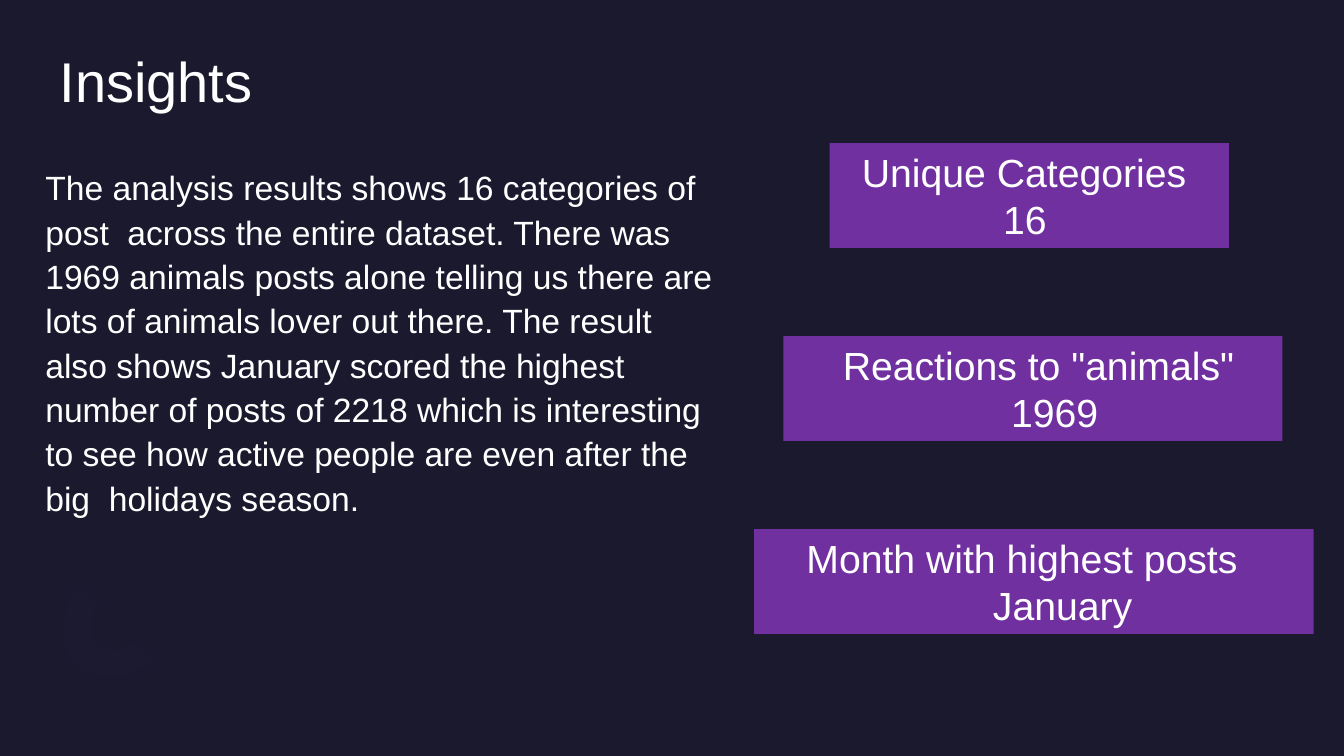
"""Build the Insights slide: a summary paragraph beside three key figures."""
from pptx import Presentation
from pptx.dml.color import RGBColor
from pptx.enum import shapes, text
from pptx.oxml import ns, xmlchemy
from pptx.util import Inches, Pt

NIGHT = RGBColor(0x1B, 0x19, 0x2E)
RING = RGBColor(0x1C, 0x1A, 0x30)
INDIGO = RGBColor(0x2C, 0x28, 0x4A)
PURPLE = RGBColor(0x70, 0x30, 0xA0)
WHITE = RGBColor(0xFF, 0xFF, 0xFF)

TITLE = "Insights"
SUMMARY = (
    "The analysis results shows 16 categories of post\u00a0 across the entire dataset. "
    "There was 1969 animals posts alone telling us there are lots of animals lover out there. "
    "The result also shows January scored the highest number of posts of 2218 which is "
    "interesting to see how active people are even after the big\u00a0 holidays season."
)
# label, label indent, value, value indent, box left, box width
FIGURES = [
    ("Unique Categories", 0.22, "16", 1.62, 8.23, 3.96),
    ('Reactions to "animals"', 0.49, "1969", 2.16, 7.77, 4.95),
    ("Month with highest posts", 0.42, "January", 2.27, 7.48, 5.55),
]
FIGURE_TOP, FIGURE_STEP, FIGURE_HEIGHT = 1.42, 1.915, 1.04
RING_ENDS = [(0.82, 5.83), (1.35, 6.37)]
OUTER_ARC = [
    ((1.52, 6.54), (1.3, 6.76), (0.95, 6.79), (0.76, 6.59)),
    ((0.76, 6.59), (0.56, 6.39), (0.58, 6.05), (0.81, 5.82)),
]
INNER_ARC = [
    ((0.99, 6.0), (0.87, 6.11), (0.86, 6.29), (0.96, 6.38)),
    ((0.96, 6.38), (1.06, 6.48), (1.23, 6.47), (1.35, 6.36)),
]


def curve_points(curve, steps=12):
    """Return points along a cubic curve."""
    points = []
    for step in range(steps + 1):
        t = step / steps
        weights = ((1 - t) ** 3, 3 * t * (1 - t) ** 2, 3 * t * t * (1 - t), t ** 3)
        points.append(tuple(
            Inches(sum(weight * point[axis] for weight, point in zip(weights, curve)))
            for axis in (0, 1)))
    return points


def paint(shape, color):
    """Give a shape a plain fill without line or shadow."""
    shape.fill.solid()
    shape.fill.fore_color.rgb = color
    shape.line.fill.background()
    shape.shadow.inherit = False


def style(para, size, indent=0):
    """Format a left-aligned white paragraph."""
    para.alignment = text.PP_ALIGN.LEFT
    para.font.name = "Arial"
    para.font.size = Pt(size)
    para.font.color.rgb = WHITE
    properties = para._p.get_or_add_pPr()
    properties.set("marL", str(Inches(indent)))
    properties.set("indent", "0")
    return properties


def fill_placeholder(box, words, place, size):
    """Place a placeholder and return its paragraph and properties."""
    box.left, box.top, box.width, box.height = map(Inches, place)
    frame = box.text_frame
    frame.text = words
    frame.word_wrap = True
    frame.auto_size = text.MSO_AUTO_SIZE.NONE
    frame.vertical_anchor = text.MSO_ANCHOR.TOP
    frame.margin_left = frame.margin_right = frame.margin_top = frame.margin_bottom = 0
    para = frame.paragraphs[0]
    return para, style(para, size)


deck = Presentation()
deck.slide_width, deck.slide_height = Inches(13.33), Inches(7.5)
page = deck.slides.add_slide(deck.slide_layouts[1])
page.background.fill.solid()
page.background.fill.fore_color.rgb = NIGHT

for left, top in RING_ENDS:
    end = page.shapes.add_shape(
        shapes.MSO_SHAPE.OVAL, Inches(left), Inches(top), Inches(0.06), Inches(0.26))
    end.rotation = 135
    paint(end, INDIGO)

outline = [point for curve in OUTER_ARC + INNER_ARC for point in curve_points(curve)]
builder = page.shapes.build_freeform(*outline[0])
builder.add_line_segments(outline[1:], close=True)
paint(builder.convert_to_shape(), RING)

fill_placeholder(page.shapes.title, TITLE, (0.59, 0.46, 12.13, 1.03), 40)
summary, properties = fill_placeholder(
    page.placeholders[1], SUMMARY, (0.45, 1.62, 6.62, 4.02), 24)
summary.line_spacing = 1.1
summary.space_before, summary.space_after = Pt(10), Pt(8)
properties.append(xmlchemy.OxmlElement("a:buNone"))

for row, (label, label_indent, value, value_indent, left, width) in enumerate(FIGURES):
    box = page.shapes.add_shape(
        shapes.MSO_SHAPE.RECTANGLE, Inches(left), Inches(FIGURE_TOP + row * FIGURE_STEP),
        Inches(width), Inches(FIGURE_HEIGHT))
    paint(box, PURPLE)
    frame = box.text_frame
    frame.word_wrap = True
    frame.vertical_anchor = text.MSO_ANCHOR.TOP
    frame.text = f"{label}\n{value}"
    for para, indent in zip(frame.paragraphs, (label_indent, value_indent)):
        style(para, 28, indent)

deck.save("out.pptx")
